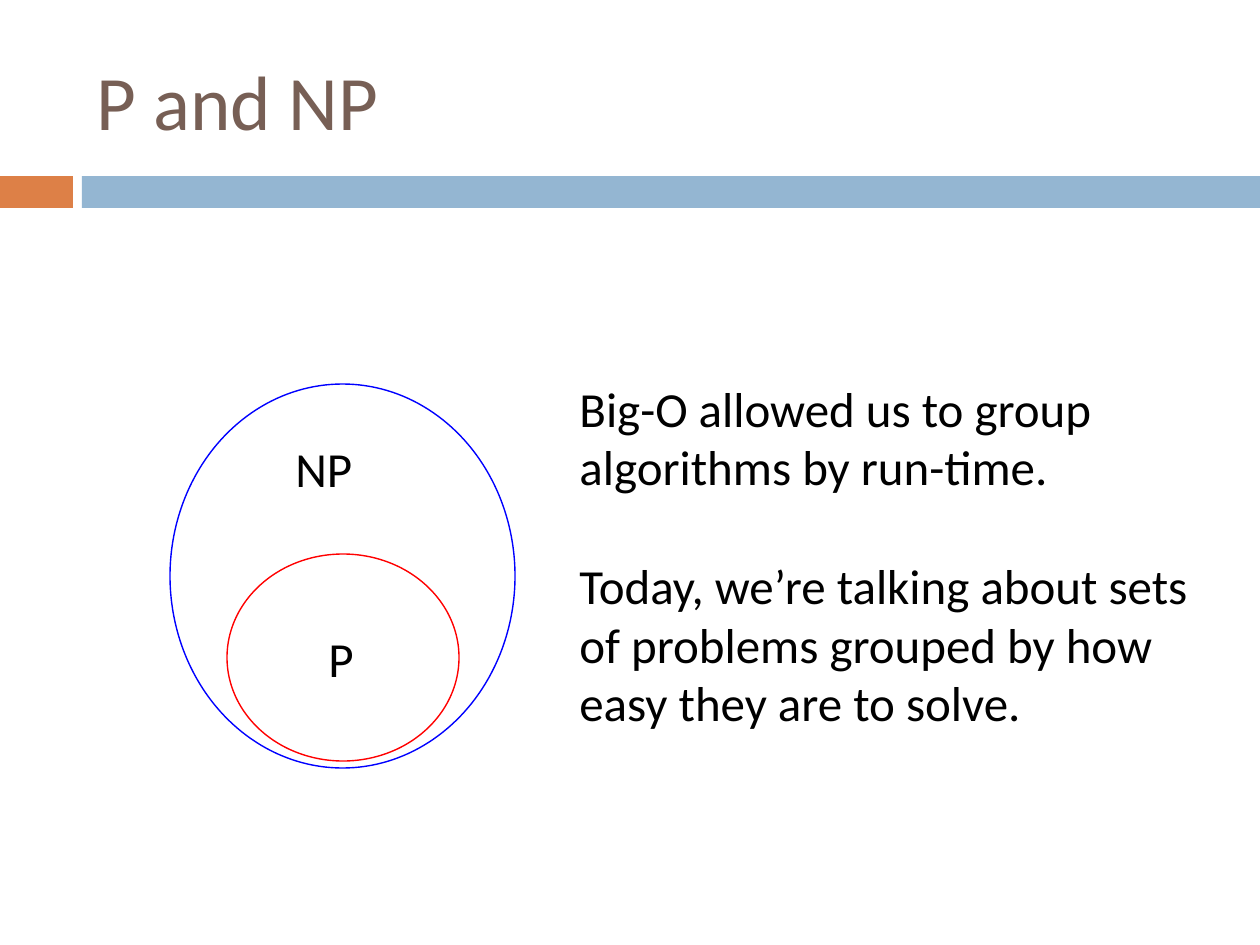
"""Build the "P and NP" slide with nested problem sets and an explanation."""
from pptx import Presentation
from pptx.dml.color import RGBColor
from pptx.enum.shapes import MSO_SHAPE as Shape
from pptx.enum.text import MSO_ANCHOR as Anchor, MSO_AUTO_SIZE as AutoSize
from pptx.util import Inches, Pt

PX = Inches(1) // 126


def color(value):
    return RGBColor.from_string(value)


def add_text(page, area, paragraphs, size, ink, wrap=True):
    box = page.shapes.add_textbox(*(PX * length for length in area))
    frame = box.text_frame
    frame.word_wrap = wrap
    frame.text = "\n".join(paragraphs)
    for para in frame.paragraphs:
        para.font.name = "Calibri"
        para.font.size = Pt(size)
        para.font.color.rgb = color(ink)
    return frame


deck = Presentation()
deck.slide_width, deck.slide_height = PX * 1260, PX * 945
page = deck.slides.add_slide(deck.slide_layouts[6])

for left, width, fill in [(0, 73, "DD8047"), (82, 1178, "94B6D2")]:
    bar = page.shapes.add_shape(Shape.RECTANGLE, PX * left, PX * 176, PX * width, PX * 32)
    bar.shadow.inherit = False
    bar.fill.solid()
    bar.fill.fore_color.rgb = color(fill)
    bar.line.fill.background()

title = add_text(page, (84, 32, 1124, 136), ["P and NP"], 44, "775F55")
title.vertical_anchor = Anchor.MIDDLE

for area, outline in [((227, 554, 232, 207), "FF0000"), ((170, 384, 345, 384), "0000FF")]:
    ellipse = page.shapes.add_shape(Shape.OVAL, *(PX * length for length in area))
    ellipse.shadow.inherit = False
    ellipse.fill.background()
    ellipse.line.color.rgb = color(outline)
    ellipse.line.width = Pt(0.79)

for area, name in [((316, 622, 50, 72), "P"), ((283, 432, 83, 72), "NP")]:
    label = add_text(page, area, [name], 28, "000000", wrap=False)
    label.auto_size = AutoSize.SHAPE_TO_FIT_TEXT

explanation = add_text(page, (567, 372, 639, 369), [
    "Big-O allowed us to group algorithms by run-time.",
    "Today, we’re talking about sets of problems grouped by how easy they are to solve.",
], 28, "000000")
explanation.auto_size = AutoSize.SHAPE_TO_FIT_TEXT
explanation.paragraphs[1].space_before = Pt(34)

deck.save("out.pptx")
